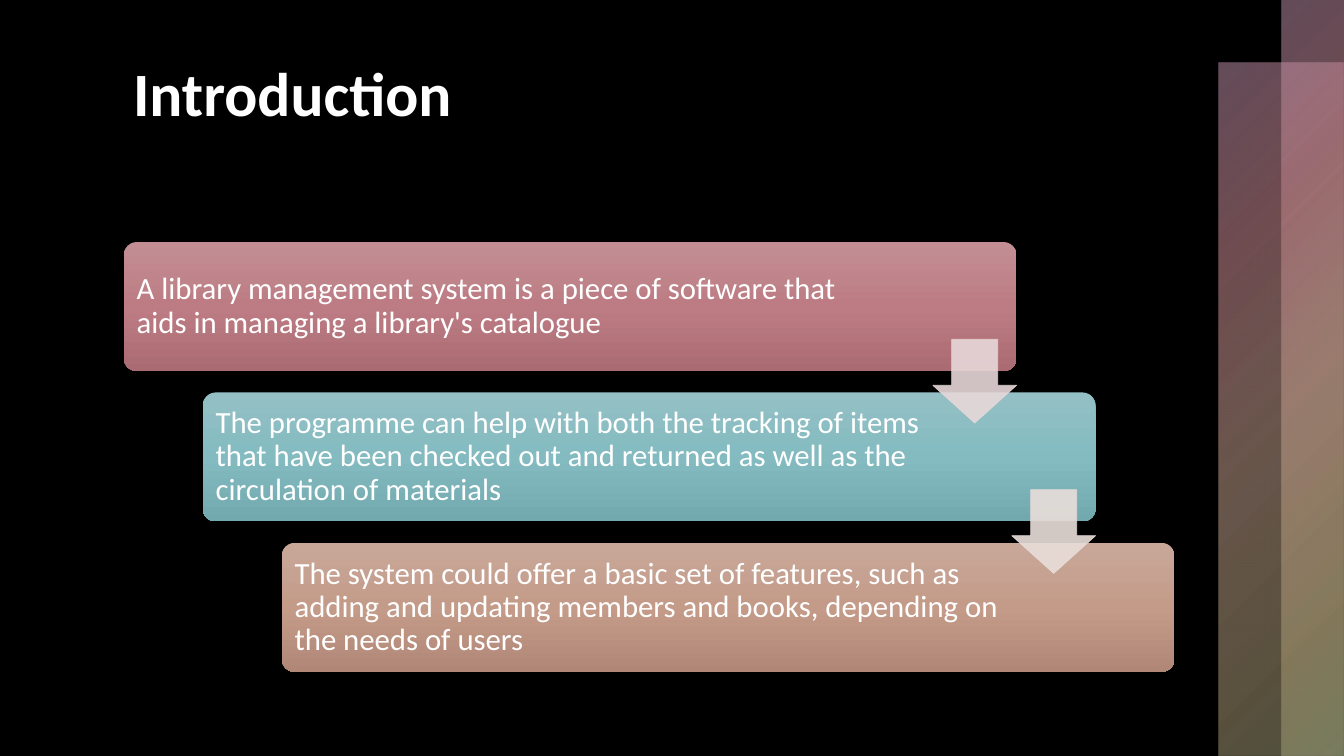
import pptx
import pptx.dml.color
import pptx.enum.shapes
import pptx.enum.text
import pptx.oxml
import pptx.oxml.ns
import pptx.util
from pptx.util import Cm

SHAPES = pptx.enum.shapes.MSO_SHAPE
ANCHOR = pptx.enum.text.MSO_ANCHOR
FONT = "Calibri"
COLOURS = {"background": "000000", "text": "FFFFFF"}
BAND_STOPS = [(0, "C696B0", 50), (25, "BA7F86", 60), (50, "C19C8C", 55),
              (81, "B2A27A", 50), (99, "A2A77E", 50)]
BAND_PATH = '<a:path path="circle"><a:fillToRect r="100000" b="100000"/></a:path>'
BOX_DIRECTION = '<a:lin ang="5400000" scaled="0"/>'
STEPS = [
    ("A library management system is a piece of software that aids in managing "
     "a library's catalogue", ("C28E94", "BD7C84", "AB6B72")),
    ("The programme can help with both the tracking of items that have been checked out "
     "and returned as well as the circulation of materials", ("94C0C5", "83BBC0", "71A9AE")),
    ("The system could offer a basic set of features, such as adding and updating members "
     "and books, depending on the needs of users", ("C8A799", "C49B89", "B18877")),
]
ARROW_COLOURS = ["E7D8D9", "E9DEDA"]
STEP_RIGHT, STEP_DOWN = 1.99, 3.79


def rgb(value):
    """Turn a hex string into a colour."""
    return pptx.dml.color.RGBColor.from_string(value)


def add_plain_shape(slide, kind, left, top, width, height):
    """Add a preset shape without shadow or outline, placed in centimetres."""
    shape = slide.shapes.add_shape(kind, Cm(left), Cm(top), Cm(width), Cm(height))
    shape.shadow.inherit = False
    shape.line.fill.background()
    return shape


def set_gradient(shape, stops, direction):
    """Fill a shape with (position, colour, opacity) stops, all in percent."""
    stop_xml = "".join(
        f'<a:gs pos="{position * 1000}"><a:srgbClr val="{colour}">'
        f'<a:alpha val="{opacity * 1000}"/></a:srgbClr></a:gs>'
        for position, colour, opacity in stops)
    gradient = pptx.oxml.parse_xml(
        f'<a:gradFill {pptx.oxml.ns.nsdecls("a")} rotWithShape="1">'
        f'<a:gsLst>{stop_xml}</a:gsLst>{direction}</a:gradFill>')
    shape.fill.gradient()
    properties = shape.element.spPr
    properties.replace(properties.find(pptx.oxml.ns.qn("a:gradFill")), gradient)


def format_text(paragraph, size, bold=False):
    """Give every run of a paragraph the slide's font and text colour."""
    for run in paragraph.runs:
        run.font.name = FONT
        run.font.size = pptx.util.Pt(size)
        run.font.bold = bold
        run.font.color.rgb = rgb(COLOURS["text"])


def add_title(slide, text):
    """Place and format the title placeholder."""
    title = slide.shapes.title
    title.left, title.top, title.width, title.height = Cm(3.1), Cm(1.25), Cm(26.34), Cm(4.32)
    title.text_frame.text = text
    title.text_frame.vertical_anchor = ANCHOR.TOP
    paragraph = title.text_frame.paragraphs[0]
    paragraph.alignment = pptx.enum.text.PP_ALIGN.LEFT
    format_text(paragraph, 44, bold=True)


def add_band(slide, left, top, width, height):
    """Add a translucent decorative band."""
    band = add_plain_shape(slide, SHAPES.RECTANGLE, left, top, width, height)
    set_gradient(band, BAND_STOPS, BAND_PATH)


def add_step_box(slide, index, text, colours):
    """Add one rounded box of the staircase with its text."""
    box = add_plain_shape(slide, SHAPES.ROUNDED_RECTANGLE, 3.12 + index * STEP_RIGHT,
                          6.1 + index * STEP_DOWN, 22.5, 3.25)
    box.adjustments[0] = 0.1
    set_gradient(box, [(i * 50, colour, 100) for i, colour in enumerate(colours)], BOX_DIRECTION)
    frame = box.text_frame
    frame.text = text
    frame.word_wrap = True
    frame.vertical_anchor = ANCHOR.MIDDLE
    frame.margin_left, frame.margin_right = Cm(0.23), Cm(4.2)
    frame.margin_top = frame.margin_bottom = Cm(0.1)
    paragraph = frame.paragraphs[0]
    paragraph.alignment = pptx.enum.text.PP_ALIGN.LEFT
    paragraph.line_spacing = 0.9
    format_text(paragraph, 22)


def add_step_arrow(slide, index, colour):
    """Add a translucent arrow leading to the next box."""
    arrow = add_plain_shape(slide, SHAPES.DOWN_ARROW, 23.51 + index * STEP_RIGHT,
                            8.55 + index * STEP_DOWN, 2.11, 2.11)
    arrow.adjustments[0], arrow.adjustments[1] = 0.55, 0.45
    arrow.line.width = pptx.util.Pt(0.5)
    for fill in (arrow.fill, arrow.line.fill):
        fill.solid()
        fill.fore_color.rgb = rgb(colour)
    for element in arrow.element.spPr.iter(pptx.oxml.ns.qn("a:srgbClr")):
        element.append(pptx.oxml.parse_xml(
            f'<a:alpha {pptx.oxml.ns.nsdecls("a")} val="90000"/>'))


def main():
    """Build the introduction slide and save it."""
    presentation = pptx.Presentation()
    presentation.slide_width, presentation.slide_height = Cm(33.87), Cm(19.05)
    slide = presentation.slides.add_slide(presentation.slide_layouts[5])
    slide.background.fill.solid()
    slide.background.fill.fore_color.rgb = rgb(COLOURS["background"])
    add_band(slide, 30.71, 1.57, 3.16, 17.48)
    add_band(slide, 32.29, 0, 1.58, 19.05)
    add_title(slide, "Introduction")
    for index, (text, colours) in enumerate(STEPS):
        add_step_box(slide, index, text, colours)
    for index, colour in enumerate(ARROW_COLOURS):
        add_step_arrow(slide, index, colour)
    presentation.save("out.pptx")


if __name__ == "__main__":
    main()
